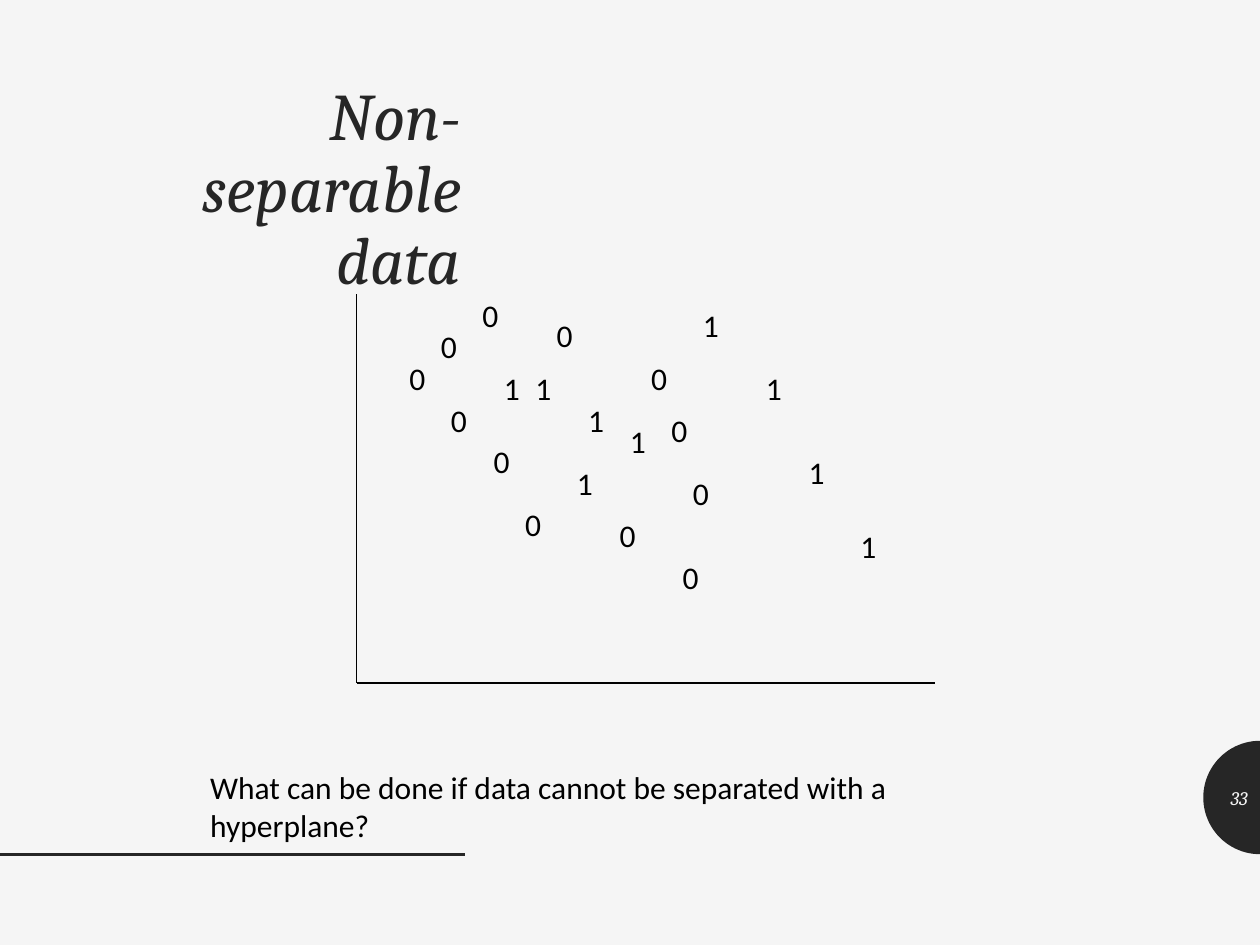
import math

import pptx
import pptx.dml.color
import pptx.enum.text
import pptx.oxml
import pptx.oxml.ns
import pptx.util

Inches = pptx.util.Inches
Align = pptx.enum.text.PP_ALIGN
Anchor = pptx.enum.text.MSO_ANCHOR

PAPER, DARK, BLACK = "F5F5F5", "262626", "000000"

ZEROS = [(3.15, 2.8), (3.4, 2.55), (3.73, 2.3), (4.32, 2.46), (3.48, 3.13),
         (3.82, 3.46), (4.07, 3.96), (4.82, 4.05), (5.32, 4.38), (5.4, 3.71),
         (5.23, 3.21), (5.07, 2.8)]
ONES = [(3.9, 2.88), (4.15, 2.88), (4.57, 3.13), (4.9, 3.3), (4.48, 3.63),
        (5.48, 2.38), (5.98, 2.88), (6.32, 3.55), (6.73, 4.13)]


def rgb(color):
    return pptx.dml.color.RGBColor.from_string(color)


def add_text(page, place, lines, size=18, font="Calibri", color=BLACK,
             italic=False, align=Align.LEFT, anchor=Anchor.TOP,
             spacing=1.0, wrap=False):
    """Add a text box with one paragraph per line; unwrapped boxes fit their text."""
    box = page.shapes.add_textbox(*map(Inches, place))
    frame = box.text_frame
    frame.word_wrap = wrap
    fit = pptx.enum.text.MSO_AUTO_SIZE
    frame.auto_size = fit.NONE if wrap else fit.SHAPE_TO_FIT_TEXT
    frame.vertical_anchor = anchor
    for index, line in enumerate(lines):
        para = frame.add_paragraph() if index else frame.paragraphs[0]
        para.alignment = align
        para.line_spacing = spacing
        span = para.add_run()
        span.text = line
        span.font.name = font
        span.font.size = pptx.util.Pt(size)
        span.font.italic = italic
        span.font.color.rgb = rgb(color)


def add_line(page, start, end, color, width):
    line = page.shapes.add_connector(
        pptx.enum.shapes.MSO_CONNECTOR.STRAIGHT,
        *map(Inches, start + end))
    line.line.color.rgb = rgb(color)
    line.line.width = pptx.util.Pt(width)
    properties = line._element.spPr
    properties.append(pptx.oxml.parse_xml(
        "<a:effectLst %s/>" % pptx.oxml.ns.nsdecls("a")))


def add_left_half_disc(page, center_x, center_y, radius, color, steps=48):
    angles = [math.pi * (0.5 + step / steps) for step in range(steps + 1)]
    points = [(Inches(center_x + radius * math.cos(angle)),
               Inches(center_y + radius * math.sin(angle))) for angle in angles]
    builder = page.shapes.build_freeform(*points[0])
    builder.add_line_segments(points[1:], close=True)
    disc = builder.convert_to_shape()
    disc.shadow.inherit = False
    disc.fill.solid()
    disc.fill.fore_color.rgb = rgb(color)
    disc.line.fill.background()


def main():
    deck = pptx.Presentation()
    deck.slide_width, deck.slide_height = Inches(10), Inches(7.5)
    page = deck.slides.add_slide(deck.slide_layouts[6])
    page.background.fill.solid()
    page.background.fill.fore_color.rgb = rgb(PAPER)

    add_left_half_disc(page, 10, 6.33, 0.45, DARK)
    add_line(page, (0, 6.78), (3.69, 6.78), DARK, 2)
    add_text(page, (0.62, 0.61, 3.14, 5.42), ["Non-separable data"], 38,
             "Cambria", DARK, italic=True, align=Align.RIGHT, spacing=0.9,
             wrap=True)
    add_text(page, (9.55, 6.13, 0.45, 0.4), ["33"], 11, "Cambria", PAPER,
             italic=True, align=Align.RIGHT, anchor=Anchor.MIDDLE, wrap=True)

    origin = (2.83, 5.42)
    for axis_end in [(2.83, 2.33), (7.42, 5.42)]:
        add_line(page, origin, axis_end, BLACK, 0.75)
    for label, spots in [("0", ZEROS), ("1", ONES)]:
        for left, top in spots:
            add_text(page, (left, top, 0.37, 0.5), [label])

    add_text(page, (1.57, 6.05, 7.13, 0.9),
             ["What can be done if data cannot be separated with a",
              "hyperplane?"])
    deck.save("out.pptx")


if __name__ == "__main__":
    main()
